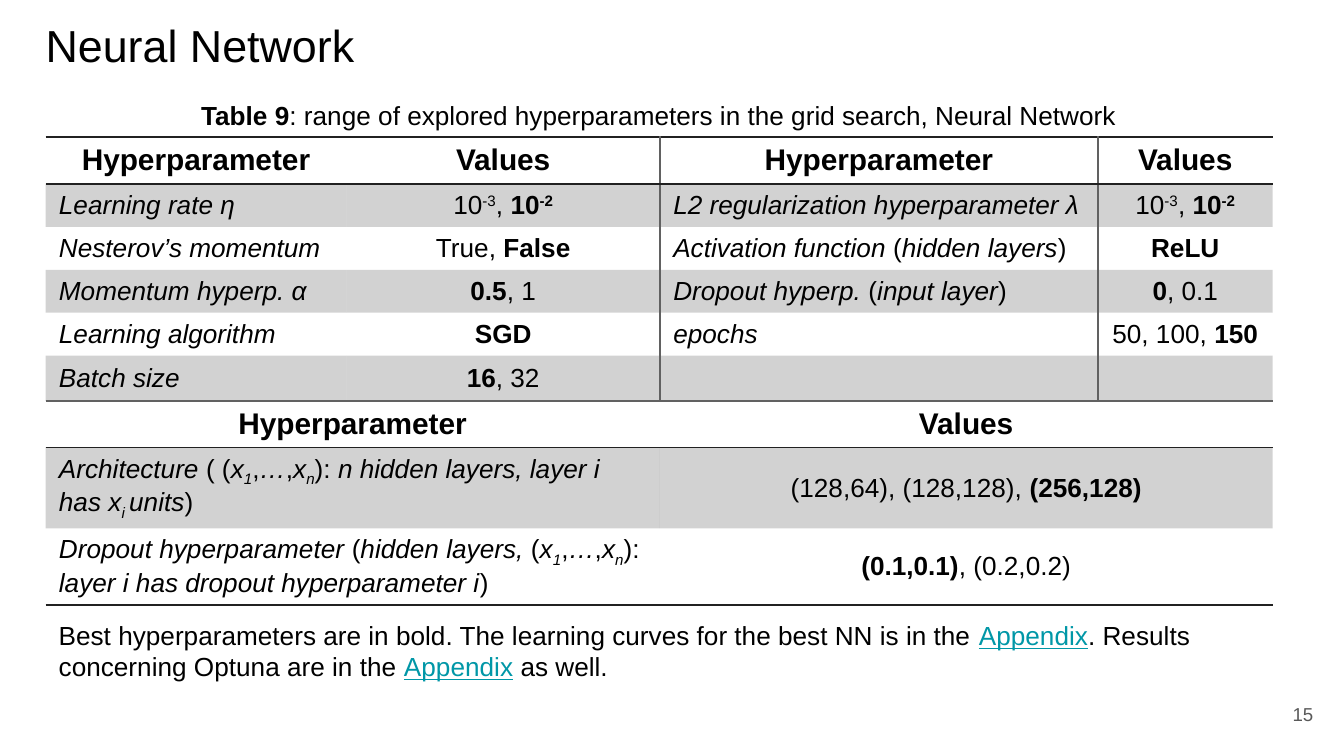
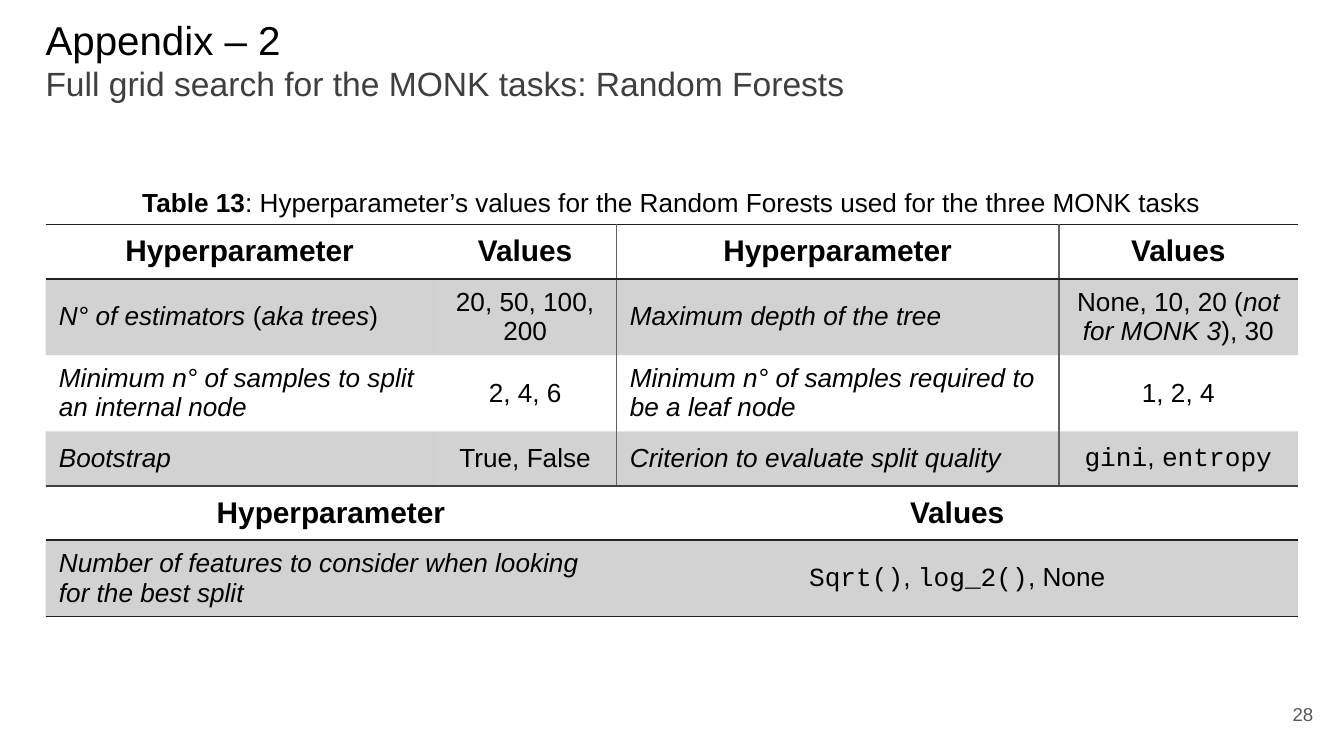
from dataclasses import dataclass

from lxml import etree
from pptx import Presentation
from pptx.dml.color import RGBColor
from pptx.enum.text import MSO_ANCHOR, MSO_AUTO_SIZE, PP_ALIGN
from pptx.oxml.ns import qn
from pptx.util import Cm, Pt

LEFT, CENTER, RIGHT = PP_ALIGN.LEFT, PP_ALIGN.CENTER, PP_ALIGN.RIGHT
MIDDLE, BOTTOM = MSO_ANCHOR.MIDDLE, MSO_ANCHOR.BOTTOM
FIT_SHAPE, NO_FIT = MSO_AUTO_SIZE.SHAPE_TO_FIT_TEXT, MSO_AUTO_SIZE.NONE
TITLE_ONLY = 5
NO_TABLE_STYLE = "{2D5ABB26-0587-4C30-8999-92F81FD0307C}"
MARGIN = 0.86


@dataclass(frozen=True)
class Theme:
    font: str = "Arial"
    mono: str = "Courier New"
    text: str = "000000"
    subtitle: str = "3F3F3F"
    number: str = "595959"
    link: str = "0097A7"
    rule: str = "212121"
    divider: str = "616161"
    stripe: str = "212121"
    stripe_alpha: int = 20
    title_size: float = 24
    head_size: float = 16
    body_size: float = 14
    number_size: float = 10


class Deck:
    def __init__(self, theme):
        self.theme = theme
        self.prs = Presentation()
        self.prs.slide_width, self.prs.slide_height = Cm(25.4), Cm(14.29)
        self.s = None

    def add_slide(self, number):
        self.s = self.prs.slides.add_slide(self.prs.slide_layouts[TITLE_ONLY])
        tf = self.text_box([str(number)], 23.55, 12.95, 1.52, 1.09, align=RIGHT,
                           size=self.theme.number_size, color=self.theme.number)
        tf.vertical_anchor = MIDDLE
        tf.margin_top = tf.margin_bottom = Cm(0.25)

    def add_run(self, p, text, style="", size=None, color=None):
        """Style letters: b bold, i italic, m monospace, u link, ^ superscript, _ subscript."""
        t = self.theme
        r = p.add_run()
        r.text = text
        f = r.font
        f.name = t.mono if "m" in style else t.font
        f.size = Pt(size or t.body_size)
        f.bold, f.italic, f.underline = "b" in style, "i" in style, "u" in style
        f.color.rgb = RGBColor.from_string(t.link if "u" in style else color or t.text)
        for mark, baseline in (("^", "30000"), ("_", "-25000")):
            if mark in style:
                f._element.set("baseline", baseline)

    def add_runs(self, p, runs, **kw):
        """Each run is a plain string or a (text, style) pair."""
        for run in runs:
            self.add_run(p, *((run,) if isinstance(run, str) else run), **kw)

    def title(self, text, width, height, size=None, subtitle=None, subtitle_size=None):
        sp = self.s.shapes.title
        sp.left, sp.top, sp.width, sp.height = Cm(MARGIN), Cm(0), Cm(width), Cm(height)
        tf = sp.text_frame
        tf.word_wrap, tf.auto_size, tf.vertical_anchor = True, NO_FIT, BOTTOM
        tf.margin_left = tf.margin_right = Cm(0)
        tf.margin_top = tf.margin_bottom = Cm(0.25)
        p = tf.paragraphs[0]
        p.alignment = LEFT
        self.add_run(p, text, size=size or self.theme.title_size)
        if subtitle:
            p.add_line_break()
            self.add_run(p, subtitle, size=subtitle_size, color=self.theme.subtitle)

    def text_box(self, runs, x, y, w, h, align=LEFT, fit=NO_FIT, **kw):
        tf = self.s.shapes.add_textbox(Cm(x), Cm(y), Cm(w), Cm(h)).text_frame
        tf.word_wrap, tf.auto_size = True, fit
        tf.paragraphs[0].alignment = align
        self.add_runs(tf.paragraphs[0], runs, **kw)
        return tf

    def caption(self, label, text, y, width):
        self.text_box([(label, "b"), text], MARGIN, y, width, 0.86, CENTER, FIT_SHAPE)

    def border(self, cell, sides):
        """Draw 1 pt lines on a cell; sides maps L, R, T, B to a colour."""
        tcPr = cell._tc.get_or_add_tcPr()
        for side in "LRTB":
            if side in sides:
                ln = etree.SubElement(tcPr, qn(f"a:ln{side}"), w=str(Pt(1)))
                fill = etree.SubElement(ln, qn("a:solidFill"))
                etree.SubElement(fill, qn("a:srgbClr"), val=sides[side])

    def fill_cell(self, cell, striped):
        if not striped:
            cell.fill.background()
            return
        cell.fill.solid()
        cell.fill.fore_color.rgb = RGBColor.from_string(self.theme.stripe)
        color = cell._tc.tcPr.find(f"{qn('a:solidFill')}/{qn('a:srgbClr')}")
        etree.SubElement(color, qn("a:alpha"), val=str(self.theme.stripe_alpha * 1000))

    def write_cell(self, cell, content, is_head, is_label):
        cell.vertical_anchor = MIDDLE
        p = cell.text_frame.paragraphs[0]
        p.alignment = LEFT if is_label and not is_head else CENTER
        if is_head:
            self.add_run(p, content, "b", size=self.theme.head_size)
        elif not content:
            etree.SubElement(p._p, qn("a:endParaRPr"), sz=str(self.theme.body_size * 100))
        elif isinstance(content, str):
            self.add_run(p, content, "i" if is_label else "")
        else:
            self.add_runs(p, content)

    def table(self, y, widths, heights, sections, section_rule):
        """Each section is a list of rows under its own heading; two-cell rows span pairs."""
        t = self.theme
        rows = []
        for section in sections:
            heading = ["Hyperparameter", "Values"] * (len(section[0]) // 2)
            rows += [(n, row) for n, row in enumerate([heading] + section)]
        frame = self.s.shapes.add_table(len(rows), len(widths), Cm(MARGIN), Cm(y),
                                        Cm(sum(widths)), Cm(sum(heights)))
        tbl = frame.table
        tbl.first_row = tbl.horz_banding = False
        tbl._tbl.tblPr.find(qn("a:tableStyleId")).text = NO_TABLE_STYLE
        for col, width in zip(tbl.columns, widths):
            col.width = Cm(width)
        for row, height in zip(tbl.rows, heights):
            row.height = Cm(height)

        for i, (n, row) in enumerate(rows):
            span = len(widths) // len(row)
            sides = {}
            if n == 0:
                sides = {"T": section_rule if i else t.rule, "B": t.rule}
            elif i == len(rows) - 1:
                sides = {"B": t.rule}
            elif rows[i + 1][0] == 0:
                sides = {"B": section_rule}
            for c in range(len(widths)):
                cell = tbl.cell(i, c)
                dividers = {}
                if span == 1:
                    if c in (1, 2):
                        dividers["R"] = t.divider
                    if c in (2, 3):
                        dividers["L"] = t.divider
                self.border(cell, {**sides, **dividers})
                self.fill_cell(cell, n % 2 == 1)
            for k, content in enumerate(row):
                cell = tbl.cell(i, k * span)
                if span > 1:
                    cell.merge(tbl.cell(i, (k + 1) * span - 1))
                self.write_cell(cell, content, n == 0, k % 2 == 0)


POWERS = ["10", ("-3", "^"), ", ", ("10", "b"), ("-2", "b^")]
X_VECTOR = [("x", "i"), ("1", "i_"), ",", ("…", "i"), ",", ("x", "i"), ("n", "i_"), "): "]


def neural_network(deck):
    width = 23.19
    deck.add_slide(15)
    deck.title("Neural Network", 24.54, 1.6)
    single = [
        ["Learning rate η", POWERS, "L2 regularization hyperparameter λ", POWERS],
        ["Nesterov’s momentum", ["True, ", ("False", "b")],
         [("Activation function ", "i"), "(", ("hidden layers", "i"), ")"], [("ReLU", "b")]],
        ["Momentum hyperp. α", [("0.5", "b"), ", 1"],
         [("Dropout hyperp. ", "i"), "(", ("input layer", "i"), ")"], [("0", "b"), ", 0.1"]],
        ["Learning algorithm", [("SGD", "b")], "epochs", ["50, 100, ", ("150", "b")]],
        ["Batch size", [("16", "b"), ", 32"], "", ""],
    ]
    per_layer = [
        [[("Architecture ", "i"), "( (", *X_VECTOR, ("n hidden layers, layer i has x", "i"),
          ("i ", "i_"), ("units", "i"), ")"],
         ["(128,64), (128,128), ", ("(256,128)", "b")]],
        [[("Dropout hyperparameter ", "i"), "(", ("hidden layers, ", "i"), "(", *X_VECTOR,
          ("layer i has dropout hyperparameter i", "i"), ")"],
         [("(0.1,0.1)", "b"), ", (0.2,0.2)"]],
    ]
    deck.table(2.59, [5.69, 5.92, 8.28, 3.3], [0.89] + [0.81] * 5 + [0.88, 1.53, 1.44],
               [single, per_layer], deck.theme.divider)
    deck.caption("Table 9", ": range of explored hyperparameters in the grid search, "
                 "Neural Network", 1.75, width)
    deck.text_box(["Best hyperparameters are in bold. The learning curves for the best NN "
                   "is in the ", ("Appendix", "u"), ". Results concerning Optuna are in the ",
                   ("Appendix", "u"), " as well."],
                  MARGIN, 11.58, width, 1.45, fit=FIT_SHAPE)


def random_forests(deck):
    width = 23.67
    deck.add_slide(28)
    deck.title("Appendix – 2", width, 2.21, size=21.6,
               subtitle="Full grid search for the MONK tasks: Random Forests",
               subtitle_size=18)
    deck.caption("Table 13", ": Hyperparameter’s values for the Random Forests used for "
                 "the three MONK tasks", 3.4, width)
    single = [
        [[("N° of estimators ", "i"), "(", ("aka trees", "i"), ")"], "20, 50, 100, 200",
         "Maximum depth of the tree", ["None, 10, 20 (", ("not for MONK 3", "i"), "), 30"]],
        ["Minimum n° of samples to split an internal node", "2, 4, 6",
         "Minimum n° of samples required to be a leaf node", "1, 2, 4"],
        ["Bootstrap", "True, False", "Criterion to evaluate split quality",
         [("gini", "m"), ", ", ("entropy", "m")]],
    ]
    features = [
        ["Number of features to consider when looking for the best split",
         [("Sqrt()", "m"), ", ", ("log_2()", "m"), ", None"]],
    ]
    deck.table(4.24, [7.34, 3.45, 8.36, 4.52], [1.03, 1.44, 1.44, 1.03, 1.03, 1.44],
               [single, features], deck.theme.subtitle)


def main():
    deck = Deck(Theme())
    neural_network(deck)
    random_forests(deck)
    deck.prs.save("out.pptx")


if __name__ == "__main__":
    main()
